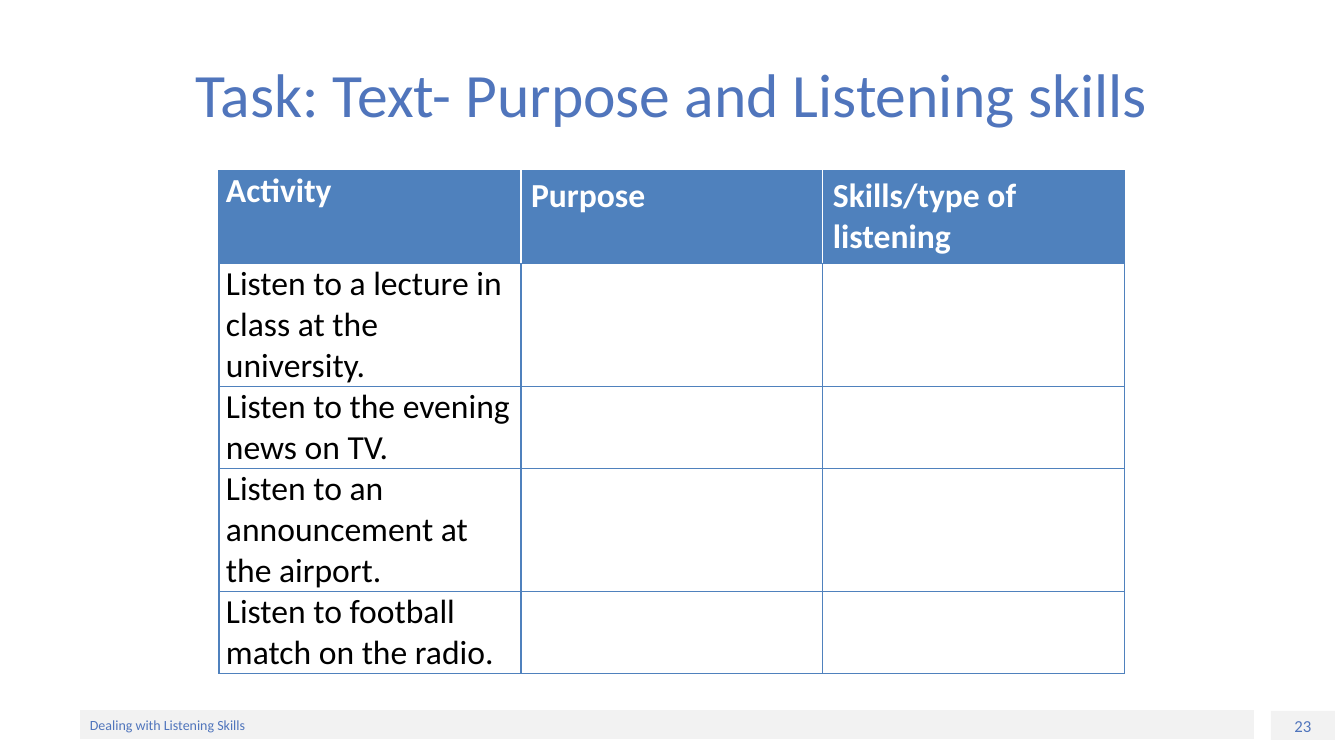
import pptx
import pptx.dml.color
import pptx.enum.shapes
import pptx.enum.text
import pptx.oxml
import pptx.oxml.ns
import pptx.util

EMU_PER_PX = 914400 / 100.8
ALIGN = pptx.enum.text.PP_ALIGN
ANCHOR = pptx.enum.text.MSO_ANCHOR
TITLE_ONLY = 5

TEXT_BLUE = "5075BC"
TABLE_BLUE = "4F81BD"
BAR_GREY = "F2F2F2"
WHITE = "FFFFFF"
BLACK = "000000"


def px(length):
    return pptx.util.Emu(round(length * EMU_PER_PX))


def color(hex_code):
    return pptx.dml.color.RGBColor.from_string(hex_code)


class SlideBuilder:
    font = "Calibri"

    def __init__(self, slide):
        self.slide = slide

    def add_text(self, frame, text, size, hex_code, align=ALIGN.LEFT, bold=False):
        frame.word_wrap = True
        paragraph = frame.paragraphs[0]
        paragraph.alignment = align
        run = paragraph.add_run()
        run.text = text
        run.font.name = self.font
        run.font.size = pptx.util.Pt(size)
        run.font.bold = bold
        run.font.color.rgb = color(hex_code)

    def title(self, text, left, top, width, height):
        heading = self.slide.shapes.title
        heading.left, heading.top = px(left), px(top)
        heading.width, heading.height = px(width), px(height)
        heading.text_frame.vertical_anchor = ANCHOR.MIDDLE
        self.add_text(heading.text_frame, text, 44, TEXT_BLUE, ALIGN.CENTER)

    def bar(self, text, left, top, width, height, size, align):
        """Draw a grey footer block with its label."""
        block = self.slide.shapes.add_shape(
            pptx.enum.shapes.MSO_SHAPE.RECTANGLE,
            px(left), px(top), px(width), px(height))
        block.shadow.inherit = False
        block.fill.solid()
        block.fill.fore_color.rgb = color(BAR_GREY)
        block.line.fill.background()
        block.text_frame.vertical_anchor = ANCHOR.MIDDLE
        self.add_text(block.text_frame, text, size, TEXT_BLUE, align)

    def border(self, cell, sides):
        """Add 1 pt cell borders; sides maps L, R, T, B (in that order) to colours."""
        properties = cell._tc.get_or_add_tcPr()
        for side, hex_code in sides.items():
            properties.append(pptx.oxml.parse_xml(
                f'<a:ln{side} {pptx.oxml.ns.nsdecls("a")} w="12700"><a:solidFill>'
                f'<a:srgbClr val="{hex_code}"/></a:solidFill></a:ln{side}>'))

    def table(self, headings, activities, left, top, column_width, row_heights):
        columns = len(headings)
        grid = self.slide.shapes.add_table(
            len(row_heights), columns, px(left), px(top),
            px(column_width * columns), px(sum(row_heights))).table
        grid.horz_banding = False
        for column in grid.columns:
            column.width = px(column_width)
        for row, height in zip(grid.rows, row_heights):
            row.height = px(height)

        rows = [headings] + [[activity, "", ""] for activity in activities]
        for r, texts in enumerate(rows):
            is_header = r == 0
            divider = WHITE if is_header else TABLE_BLUE
            for c, text in enumerate(texts):
                cell = grid.cell(r, c)
                self.border(cell, {
                    "L": divider if c > 0 else TABLE_BLUE,
                    "R": divider if c < columns - 1 else TABLE_BLUE,
                    "T": TABLE_BLUE,
                    "B": TABLE_BLUE})
                if is_header:
                    cell.fill.solid()
                    cell.fill.fore_color.rgb = color(TABLE_BLUE)
                else:
                    cell.fill.background()
                if c == 0:
                    cell.margin_left = cell.margin_right = px(7)
                    cell.margin_top = cell.margin_bottom = 0
                if text:
                    self.add_text(cell.text_frame, text, 24,
                                  WHITE if is_header else BLACK, bold=is_header)


def main():
    deck = pptx.Presentation()
    deck.slide_width, deck.slide_height = px(1344), px(756)
    builder = SlideBuilder(deck.slides.add_slide(deck.slide_layouts[TITLE_ONLY]))

    builder.bar("23", 1271, 711, 64, 29, 12, ALIGN.CENTER)
    builder.bar("Dealing with Listening Skills", 80, 710, 1174, 29, 10, ALIGN.LEFT)
    builder.title("Task: Text- Purpose and Listening skills", 67, 30, 1210, 126)
    builder.table(
        ["Activity", "Purpose", "Skills/type of listening"],
        ["Listen to a lecture in class at the university.",
         "Listen to the evening news on TV.",
         "Listen to an announcement at the airport.",
         "Listen to football match on the radio."],
        219, 171, 302, [92, 123, 82, 123, 82])

    deck.save("out.pptx")


if __name__ == "__main__":
    main()
